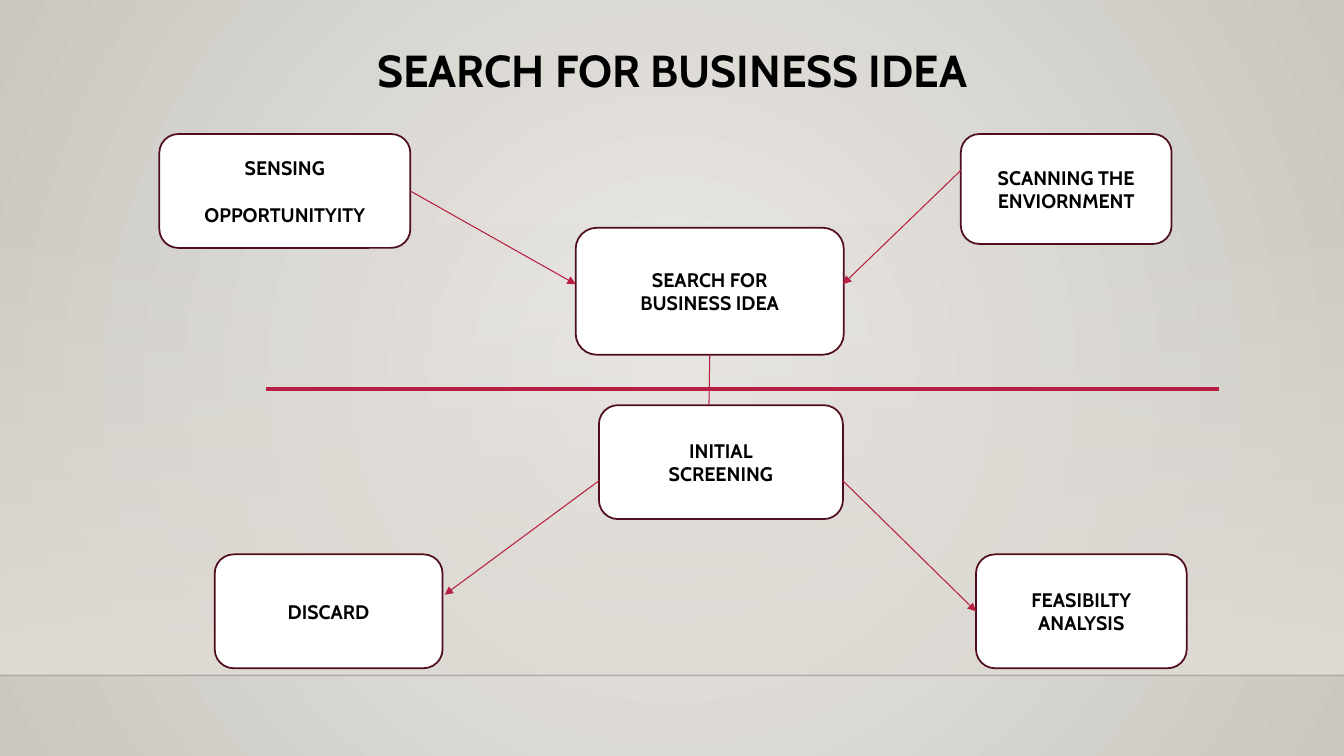
from lxml import etree
from pptx import Presentation
from pptx.dml.color import RGBColor
from pptx.enum.shapes import MSO_CONNECTOR, MSO_SHAPE
from pptx.enum.text import MSO_ANCHOR, PP_ALIGN
from pptx.oxml.ns import qn
from pptx.util import Inches, Pt

STRAIGHT = MSO_CONNECTOR.STRAIGHT
RECTANGLE, ROUNDED = MSO_SHAPE.RECTANGLE, MSO_SHAPE.ROUNDED_RECTANGLE
MIDDLE, BOTTOM = MSO_ANCHOR.MIDDLE, MSO_ANCHOR.BOTTOM
CENTER = PP_ALIGN.CENTER
SITE_LEFT, SITE_BOTTOM, SITE_RIGHT = 1, 2, 3

# The grid has square cells of one inch.
COLUMNS, ROWS = 13.33, 7.5
FONT = "Cabin"
COLORS = {
    "glow": "ECEAE7", "edge": "CAC7C1", "wall": "DFDBD5", "floor": "000001",
    "accent": "B71E42", "border": "500D1D", "box": "FFFFFF", "text": "000000",
}

# Name: (column, row, columns, rows) within the flow area, lines of text, gap in points
STEPS = {
    "scanning": ((7.95, 0, 2.09, 1.09), ["SCANNING THE", "ENVIORNMENT"], 0),
    "search": ((4.13, 0.93, 2.66, 1.26), ["SEARCH FOR", "BUSINESS IDEA"], 0),
    "sensing": ((0, 0, 2.49, 1.13), ["SENSING", "OPPORTUNITYITY"], 17),
    "discard": ((0.55, 4.17, 2.26, 1.13), ["DISCARD"], 0),
    "initial": ((4.36, 2.69, 2.42, 1.13), ["INITIAL", "SCREENING"], 0),
    "feasibility": ((8.1, 4.17, 2.09, 1.13), ["FEASIBILTY", "ANALYSIS"], 0),
}
# Start and end within the flow area, then the joined steps, if any
ARROWS = [
    ((5.45, 2.19), (5.45, 2.78), ("search", SITE_BOTTOM), None),
    ((2.49, 0.56), (4.13, 1.49), ("sensing", SITE_RIGHT), None),
    ((7.95, 0.36), (6.78, 1.49), None, None),
    ((4.36, 3.44), (2.83, 4.57), None, None),
    ((6.78, 3.44), (8.1, 4.73), None, ("feasibility", SITE_LEFT)),
]


def color(name):
    return RGBColor.from_string(COLORS[name])


def set_opacity(element, percent):
    """Set the opacity of the first colour inside the element."""
    swatch = next(element.iter(qn("a:srgbClr")))
    etree.SubElement(swatch, qn("a:alpha")).set("val", str(percent * 1000))


def set_gradient(fill, first, last):
    fill.gradient()
    for stop, name in zip(fill.gradient_stops, (first, last)):
        stop.color.rgb = color(name)


def add_line(page, start, end, name, width):
    line = page.shapes.add_connector(STRAIGHT, *map(Inches, start + end))
    line.line.color.rgb = color(name)
    line.line.width = Pt(width)
    etree.SubElement(line.element.spPr, qn("a:effectLst"))
    return line


def write_lines(frame, lines, size, anchor, gap=0, spacing=None):
    frame.word_wrap = True
    frame.vertical_anchor = anchor
    frame.text = "\n".join(lines)
    for index, para in enumerate(frame.paragraphs):
        para.alignment = CENTER
        para.line_spacing = spacing
        if index and gap:
            para.space_before = Pt(gap)
        for span in para.runs:
            span.font.name = FONT
            span.font.size = Pt(size)
            span.font.bold = True
            span.font.color.rgb = color("text")


def draw_backdrop(page, area):
    """Draw the round glow, the fading wall, the floor line and the divider."""
    set_gradient(page.background.fill, "glow", "edge")
    gradient = next(page.element.iter(qn("a:gradFill")))
    for linear in gradient.findall(qn("a:lin")):
        gradient.remove(linear)
    circle = etree.SubElement(gradient, qn("a:path"))
    circle.set("path", "circle")
    center = etree.SubElement(circle, qn("a:fillToRect"))
    for side in "ltrb":
        center.set(side, "50000")

    left, top, width, height = area
    wall = page.shapes.add_shape(RECTANGLE, *map(Inches, area))
    wall.shadow.inherit = False
    wall.line.fill.background()
    set_gradient(wall.fill, "wall", "wall")
    wall.fill.gradient_angle = 270
    set_opacity(wall.element.spPr, 0)

    bottom = top + height
    floor = add_line(page, (left, bottom), (left + width, bottom), "floor", 1)
    set_opacity(floor.element.spPr, 20)
    add_line(page, (left + 2.64, top + 1.65), (left + 12.09, top + 1.65), "accent", 2.5)


def draw_title(page, area):
    box = page.shapes.add_textbox(*map(Inches, area))
    box.text_frame.margin_bottom = 0
    write_lines(box.text_frame, ["SEARCH FOR BUSINESS IDEA"], 32, BOTTOM, spacing=0.9)


def draw_step(page, area, lines, gap):
    box = page.shapes.add_shape(ROUNDED, *map(Inches, area))
    box.shadow.inherit = False
    box.fill.solid()
    box.fill.fore_color.rgb = color("box")
    box.line.color.rgb = color("border")
    box.line.width = Pt(1.25)
    write_lines(box.text_frame, lines, 14, MIDDLE, gap)
    return box


def draw_flow(page, area):
    left, top = area[:2]
    boxes = {}

    def draw_arrow(start, end, begin_joint, end_joint):
        (x1, y1), (x2, y2) = start, end
        arrow = add_line(page, (left + x1, top + y1), (left + x2, top + y2), "accent", 0.75)
        if begin_joint:
            arrow.begin_connect(boxes[begin_joint[0]], begin_joint[1])
        if end_joint:
            arrow.end_connect(boxes[end_joint[0]], end_joint[1])
        outline = arrow.element.spPr.find(qn("a:ln"))
        etree.SubElement(outline, qn("a:tailEnd")).set("type", "triangle")

    for name, ((column, row, width, height), lines, gap) in STEPS.items():
        boxes[name] = draw_step(page, (left + column, top + row, width, height), lines, gap)
        if name == "search":
            # The box below covers the head of this arrow.
            draw_arrow(*ARROWS[0])
    for arrow in ARROWS[1:]:
        draw_arrow(*arrow)


def main():
    deck = Presentation()
    deck.slide_width, deck.slide_height = Inches(COLUMNS), Inches(ROWS)
    page = deck.slides.add_slide(deck.slide_layouts[6])
    draw_backdrop(page, (0, 2.21, COLUMNS, 4.49))
    draw_title(page, (1.27, 0.23, 10.8, 0.73))
    draw_flow(page, (1.58, 1.33, 10.19, 5.3))
    deck.save("out.pptx")


if __name__ == "__main__":
    main()
